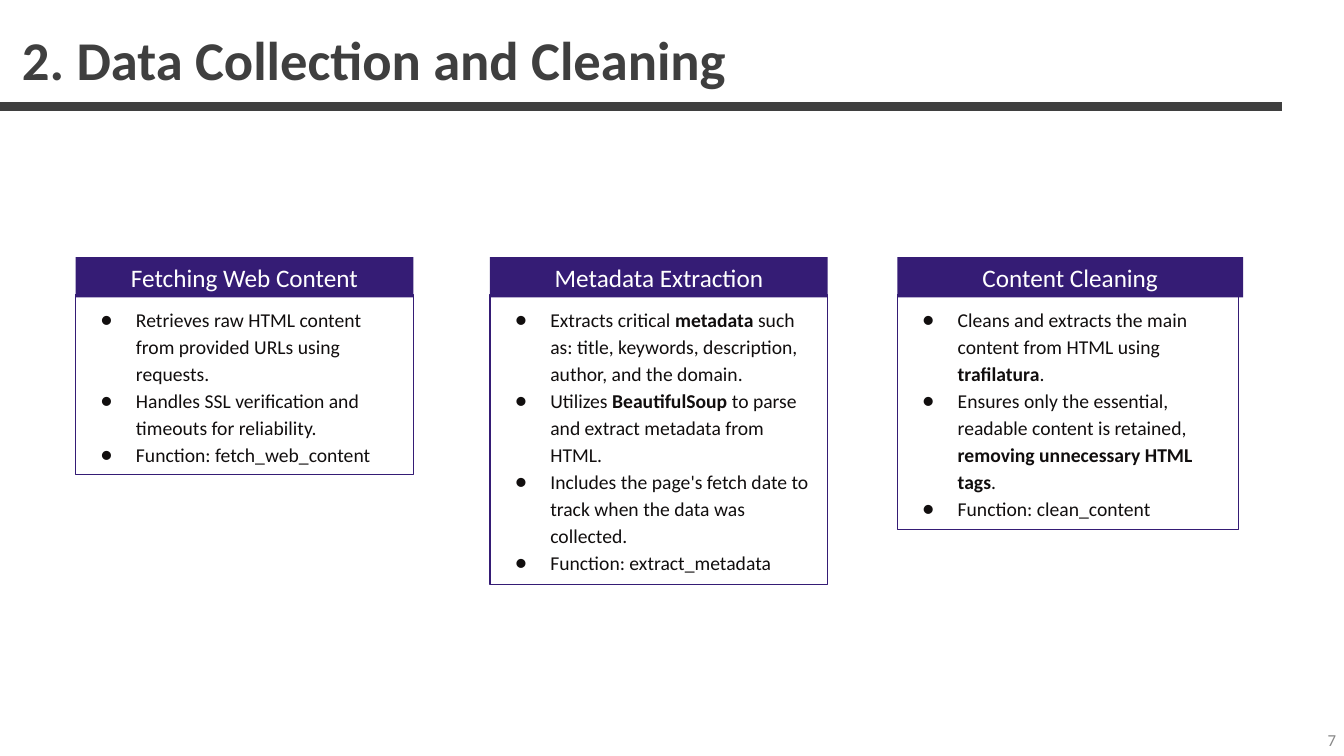
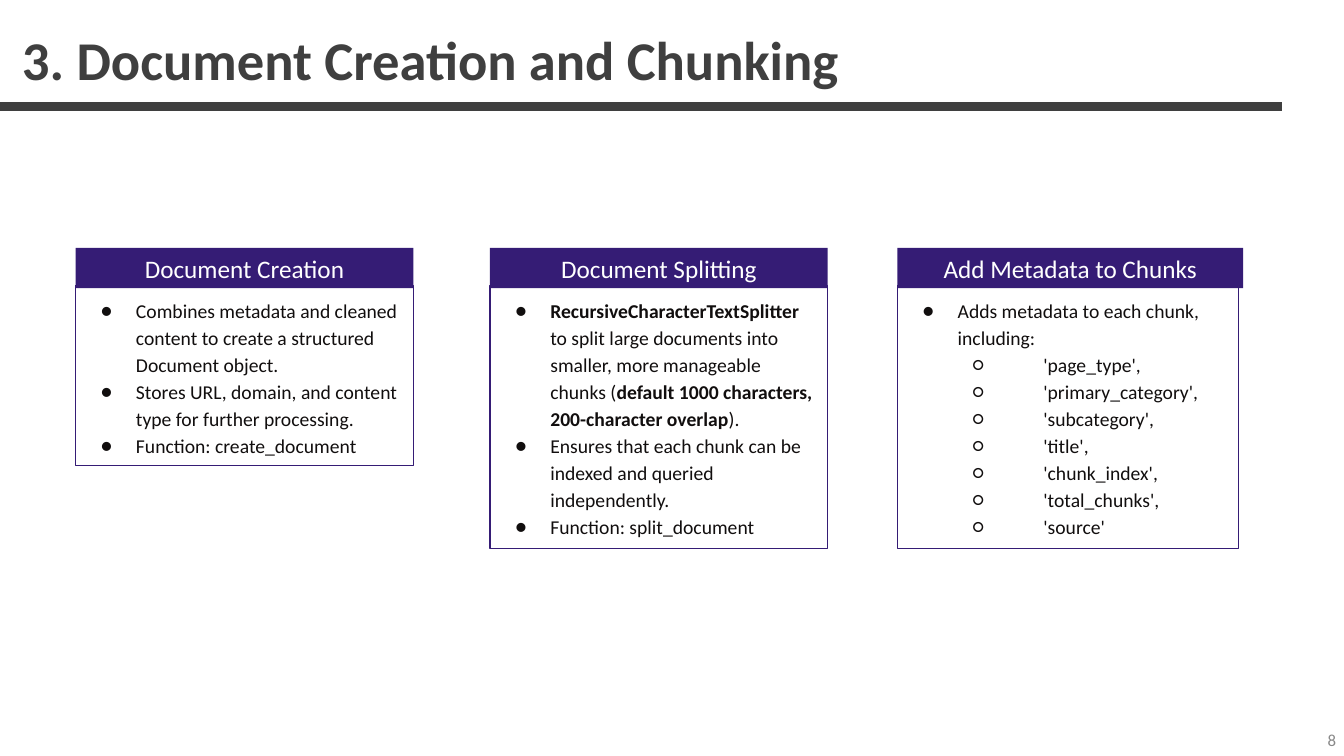
from lxml import etree
from pptx import Presentation
from pptx.dml.color import RGBColor
from pptx.enum import shapes, text
from pptx.oxml import ns
from pptx.util import Inches, Pt

FONT = "Calibri"
CHARCOAL = RGBColor(0x3F, 0x3F, 0x3F)
GRAY = RGBColor(0x88, 0x88, 0x88)
PURPLE = RGBColor(0x35, 0x1C, 0x75)
INK = RGBColor(0x11, 0x0E, 0x0E)
WHITE = RGBColor(0xFF, 0xFF, 0xFF)

HEADER_HEIGHT = 0.4
BODY_OFFSET = 0.37
# left, header width, body width
COLUMNS = [(0.75, 3.35, 3.35), (4.86, 3.35, 3.35), (8.9, 3.43, 3.38)]
# Per outline level: bullet, left margin, hanging indent
LEVELS = [("●", 0.5, 0.35), ("○", 1.35, 0.7)]

# Cards: heading, body height, points as (level, text); ** marks bold
SECTIONS = [
    ("2. Data Collection and Cleaning", 7, 2.55, [
        ("Fetching Web Content", 1.79, [
            (0, "Retrieves raw HTML content from provided URLs using requests."),
            (0, "Handles SSL verification and timeouts for reliability."),
            (0, "Function: fetch_web_content"),
        ]),
        ("Metadata Extraction", 2.88, [
            (0, "Extracts critical **metadata** such as: title, keywords, "
                "description, author, and the domain."),
            (0, "Utilizes **BeautifulSoup** to parse and extract metadata from HTML."),
            (0, "Includes the page's fetch date to track when the data was collected."),
            (0, "Function: extract_metadata"),
        ]),
        ("Content Cleaning", 2.33, [
            (0, "Cleans and extracts the main content from HTML using **trafilatura**."),
            (0, "Ensures only the essential, readable content is retained, "
                "**removing unnecessary HTML tags**."),
            (0, "Function: clean_content"),
        ]),
    ]),
    ("3. Document Creation and Chunking", 8, 2.46, [
        ("Document Creation", 1.79, [
            (0, "Combines metadata and cleaned content to create a structured "
                "Document object."),
            (0, "Stores URL, domain, and content type for further processing."),
            (0, "Function: create_document"),
        ]),
        ("Document Splitting", 2.61, [
            (0, "**RecursiveCharacterTextSplitter **to split large documents into "
                "smaller, more manageable chunks (**default 1000 characters, "
                "200-character overlap**)."),
            (0, "Ensures that each chunk can be indexed and queried independently."),
            (0, "Function: split_document"),
        ]),
        ("Add Metadata to Chunks", 2.61, [
            (0, "Adds metadata to each chunk, including:"),
            (1, "'page_type',"),
            (1, "'primary_category',"),
            (1, "'subcategory',"),
            (1, "'title',"),
            (1, "'chunk_index',"),
            (1, "'total_chunks',"),
            (1, "'source'"),
        ]),
    ]),
]


def style(paragraph, size, color, align=text.PP_ALIGN.LEFT, bold=None):
    paragraph.alignment = align
    font = paragraph.font
    font.name, font.size, font.bold = FONT, Pt(size), bold
    font.color.rgb = color


def add_label(slide, box, label, anchor, **look):
    """Add a one-line text box and return its paragraph."""
    frame = slide.shapes.add_textbox(*map(Inches, box)).text_frame
    frame.word_wrap = True
    frame.vertical_anchor = anchor
    paragraph = frame.paragraphs[0]
    paragraph.text = label
    style(paragraph, **look)
    return paragraph


def add_rule(slide):
    rule = slide.shapes.add_connector(
        shapes.MSO_CONNECTOR.STRAIGHT,
        Inches(-0.01), Inches(1.06), Inches(12.72), Inches(1.06))
    rule.line.color.rgb = CHARCOAL
    rule.line.width = Pt(6.25)
    etree.SubElement(rule._element.spPr, ns.qn("a:effectLst"))


def add_panel(slide, box):
    """Add a rectangle without shadow, its text starting at the top."""
    panel = slide.shapes.add_shape(
        shapes.MSO_SHAPE.RECTANGLE, *map(Inches, box))
    panel.shadow.inherit = False
    panel.text_frame.word_wrap = True
    panel.text_frame.vertical_anchor = text.MSO_ANCHOR.TOP
    return panel


def add_header(slide, box, heading):
    header = add_panel(slide, box)
    header.fill.solid()
    header.fill.fore_color.rgb = PURPLE
    header.line.fill.background()
    paragraph = header.text_frame.paragraphs[0]
    paragraph.text = heading
    style(paragraph, 18, WHITE, text.PP_ALIGN.CENTER)


def set_bullet(paragraph, level):
    bullet, margin, hanging = LEVELS[level]
    paragraph.level = level
    props = paragraph._p.get_or_add_pPr()
    props.set("marL", str(Inches(margin)))
    props.set("indent", str(-Inches(hanging)))
    color = etree.SubElement(props, ns.qn("a:buClr"))
    etree.SubElement(color, ns.qn("a:srgbClr"), val=str(INK))
    etree.SubElement(props, ns.qn("a:buFont"), typeface=FONT)
    etree.SubElement(props, ns.qn("a:buChar"), char=bullet)


def add_runs(paragraph, marked):
    """Split text at ** marks; every second piece is bold."""
    for index, piece in enumerate(marked.split("**")):
        if piece:
            run = paragraph.add_run()
            run.text = piece
            if index % 2:
                run.font.bold = True


def add_body(slide, box, points):
    body = add_panel(slide, box)
    body.fill.background()
    body.line.color.rgb = PURPLE
    body.line.width = Pt(0.75)
    frame = body.text_frame
    frame.margin_top = frame.margin_bottom = Inches(0.1)
    for index, (level, point) in enumerate(points):
        paragraph = frame.add_paragraph() if index else frame.paragraphs[0]
        set_bullet(paragraph, level)
        paragraph.line_spacing = 1.15
        style(paragraph, 14, INK)
        add_runs(paragraph, point)


def add_section(prs, title, number, top, cards):
    slide = prs.slides.add_slide(prs.slide_layouts[6])
    heading = add_label(slide, (0.12, -0.06, 9.14, 1.02), title,
                        text.MSO_ANCHOR.BOTTOM, size=39, color=CHARCOAL, bold=True)
    heading.line_spacing = 0.9
    add_rule(slide)
    add_label(slide, (10.35, 7.14, 3, 0.4), str(number), text.MSO_ANCHOR.MIDDLE,
              size=12, color=GRAY, align=text.PP_ALIGN.RIGHT)
    for (left, header_width, body_width), (name, height, points) in zip(COLUMNS, cards):
        add_header(slide, (left, top, header_width, HEADER_HEIGHT), name)
        add_body(slide, (left, top + BODY_OFFSET, body_width, height), points)


def main():
    prs = Presentation()
    prs.slide_width, prs.slide_height = Inches(13.33), Inches(7.5)
    for section in SECTIONS:
        add_section(prs, *section)
    prs.save("out.pptx")


if __name__ == "__main__":
    main()
